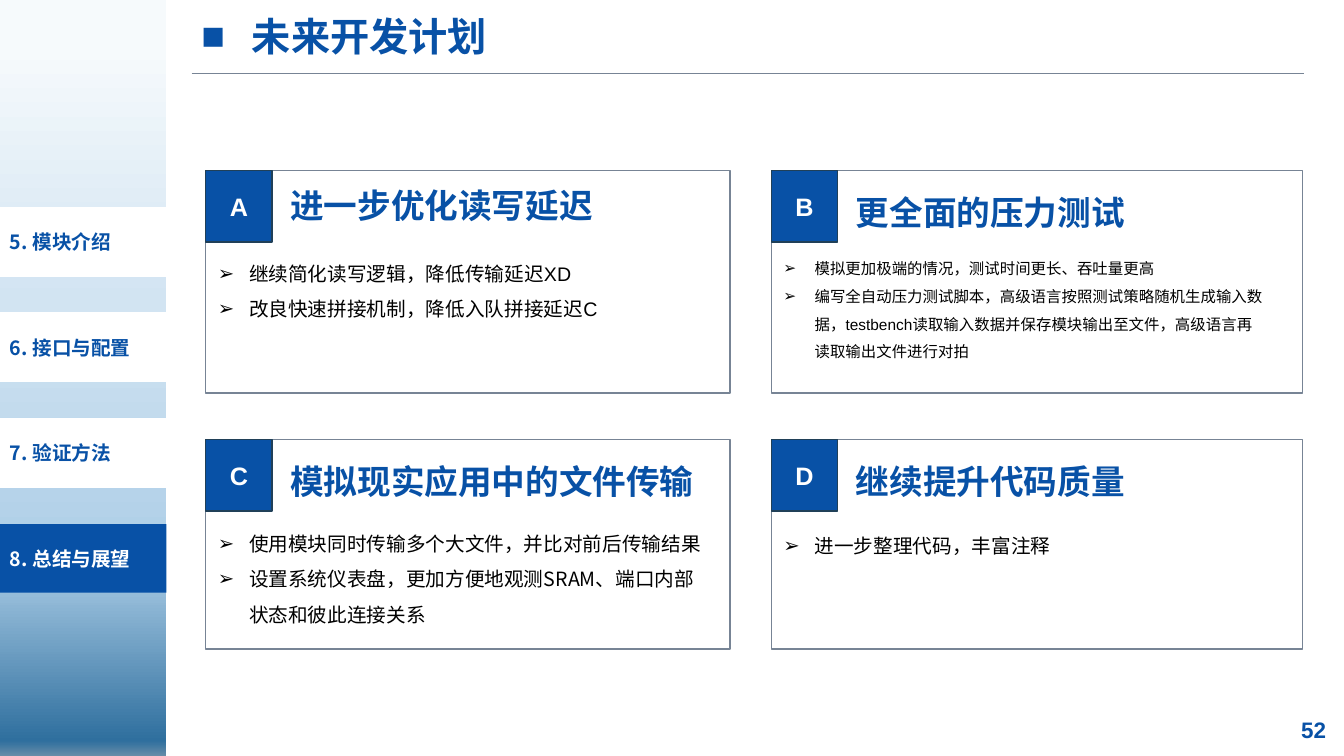
from dataclasses import dataclass

from lxml.etree import SubElement
from pptx import Presentation
from pptx.dml.color import RGBColor
from pptx.enum.shapes import MSO_CONNECTOR, MSO_SHAPE
from pptx.enum.text import MSO_ANCHOR as Anchor, PP_ALIGN as Align
from pptx.oxml.ns import qn
from pptx.shapes.autoshape import Shape
from pptx.slide import Slide
from pptx.util import Emu, Inches, Pt

BLUE = RGBColor(0x08, 0x51, 0xA6)
NAVY = RGBColor(0x20, 0x40, 0x58)
GREY = RGBColor(0x77, 0x84, 0x95)
WHITE = RGBColor(0xFF, 0xFF, 0xFF)
BLACK = RGBColor(0, 0, 0)
SIDEBAR_STOPS = [(6, "F6FAFC"), (40, "D2E4F2"), (74, "ADCEE7"), (98, "2F6F9E"), (100, "668CA8")]

ARIAL, NOTO = "Arial", "Noto Sans CJK SC"

# Grid of the slide, in inches: (start, size) of each column and row
COLS = [(2.04, 5.2), (7.65, 5.27)]
ROWS = [(1.69, 2.21), (4.36, 2.08)]
SIDEBAR_W = 1.65
NAV_FIRST, NAV_LAST, NAV_H = 2.06, 5.2, 0.68
BADGE_W, BADGE_H = 0.66, 0.71
HEADING_DX = 0.74

NAV = ["5. 模块介绍", "6. 接口与配置", "7. 验证方法", "8. 总结与展望"]


@dataclass
class Box:
    left: float
    top: float
    width: float
    height: float

    def emu(self) -> tuple[Emu, Emu, Emu, Emu]:
        return Inches(self.left), Inches(self.top), Inches(self.width), Inches(self.height)


@dataclass
class Panel:
    """One plan card; body_dy and body_w place its bullet list inside the card."""
    letter: str
    col: int
    row: int
    heading: str
    points: list[str]
    body_dy: float
    body_w: float
    heading_dy: float = 0.08
    heading_spacing: float = 1.2
    size: float = 14
    font: str = ARIAL


PANELS = [
    Panel("A", 0, 0, "进一步优化读写延迟",
          ["继续简化读写逻辑，降低传输延迟XD", "改良快速拼接机制，降低入队拼接延迟C"],
          0.67, 4.89, heading_dy=0.1, heading_spacing=1.0),
    Panel("B", 1, 0, "更全面的压力测试",
          ["模拟更加极端的情况，测试时间更长、吞吐量更高",
           "编写全自动压力测试脚本，高级语言按照测试策略随机生成输入数据，"
           "testbench读取输入数据并保存模块输出至文件，高级语言再读取输出文件进行对拍"],
          0.67, 5.04, size=11),
    Panel("C", 0, 1, "模拟现实应用中的文件传输",
          ["使用模块同时传输多个大文件，并比对前后传输结果",
           "设置系统仪表盘，更加方便地观测SRAM、端口内部状态和彼此连接关系"],
          0.68, 5.14, font=NOTO),
    Panel("D", 1, 1, "继续提升代码质量", ["进一步整理代码，丰富注释"], 0.7, 5.04),
]


def write(s: Shape, *lines: str, size: float, color: RGBColor = BLUE, bold: bool = True,
          font: str = ARIAL, align: Align = Align.LEFT, anchor: Anchor = Anchor.TOP,
          spacing: float = 1.0, bullet: str = "", indent: float = 0,
          inset: tuple[float, float] = (0.1, 0.05)) -> None:
    """Fill a shape with one paragraph per line; inset is (sides, top and bottom)."""
    tf = s.text_frame
    tf.word_wrap = True
    tf.vertical_anchor = anchor
    tf.margin_left = tf.margin_right = Inches(inset[0])
    tf.margin_top = tf.margin_bottom = Inches(inset[1])
    for i, line in enumerate(lines):
        p = tf.add_paragraph() if i else tf.paragraphs[0]
        p.alignment = align
        p.line_spacing = spacing
        if bullet:
            pPr = p._p.get_or_add_pPr()
            pPr.set("marL", str(Inches(indent)))
            pPr.set("indent", str(-Inches(indent)))
            SubElement(pPr, qn("a:buFont")).set("typeface", ARIAL)
            SubElement(pPr, qn("a:buChar")).set("char", bullet)
        r = p.add_run()
        r.text = line
        r.font.name, r.font.size, r.font.bold = font, Pt(size), bold
        r.font.color.rgb = color
        SubElement(r._r.get_or_add_rPr(), qn("a:ea")).set("typeface", NOTO)


def add_rect(slide: Slide, box: Box, fill: RGBColor, line: RGBColor | None = None) -> Shape:
    s = slide.shapes.add_shape(MSO_SHAPE.RECTANGLE, *box.emu())
    s.shadow.inherit = False
    s.fill.solid()
    s.fill.fore_color.rgb = fill
    if line is None:
        s.line.fill.background()
    else:
        s.line.color.rgb = line
        s.line.width = Pt(1)
    return s


def add_text(slide: Slide, box: Box, *lines: str, **fmt) -> None:
    write(slide.shapes.add_textbox(*box.emu()), *lines, **fmt)


def add_sidebar(slide: Slide) -> None:
    s = add_rect(slide, Box(0, 0, SIDEBAR_W, 7.5), WHITE)
    s.fill.gradient()
    s.fill.gradient_angle = 270
    stops = s._element.spPr.find(qn("a:gradFill")).find(qn("a:gsLst"))
    for stop in list(stops):
        stops.remove(stop)
    for percent, color in SIDEBAR_STOPS:
        stop = SubElement(stops, qn("a:gs"), pos=str(percent * 1000))
        SubElement(stop, qn("a:srgbClr"), val=color)

    step = (NAV_LAST - NAV_FIRST) / (len(NAV) - 1)
    for i, label in enumerate(NAV):
        current = i == len(NAV) - 1
        box = Box(0, NAV_FIRST + i * step, SIDEBAR_W, NAV_H)
        s = add_rect(slide, box, BLUE if current else WHITE, None if current else WHITE)
        write(s, label, size=14, font=NOTO, color=WHITE if current else BLUE,
              anchor=Anchor.MIDDLE)


def add_title(slide: Slide) -> None:
    add_text(slide, Box(1.9, 0, 11.1, 0.64), "未来开发计划", size=28,
             anchor=Anchor.BOTTOM, bullet="■", indent=0.5)
    rule = slide.shapes.add_connector(MSO_CONNECTOR.STRAIGHT, Inches(1.9), Inches(0.73),
                                      Inches(12.93), Inches(0.73))
    rule.line.color.rgb = GREY
    rule.line.width = Pt(1.25)
    SubElement(rule._element.spPr, qn("a:effectLst"))


def add_panel(slide: Slide, panel: Panel) -> None:
    left, width = COLS[panel.col]
    top, height = ROWS[panel.row]
    add_rect(slide, Box(left, top, width, height), WHITE, GREY)
    badge = add_rect(slide, Box(left, top, BADGE_W, BADGE_H), BLUE, NAVY)
    write(badge, panel.letter, size=18, color=WHITE, align=Align.CENTER, anchor=Anchor.MIDDLE)
    add_text(slide, Box(left + HEADING_DX, top + panel.heading_dy, width - HEADING_DX, 0.54),
             panel.heading, size=24, spacing=panel.heading_spacing)
    add_text(slide, Box(left, top + panel.body_dy, panel.body_w, height - panel.body_dy),
             *panel.points, size=panel.size, font=panel.font, color=BLACK, bold=False,
             spacing=1.5, bullet="➢", indent=0.31, inset=(0.12, 0.12))


def main() -> None:
    prs = Presentation()
    prs.slide_width, prs.slide_height = Inches(13.33), Inches(7.5)
    slide = prs.slides.add_slide(prs.slide_layouts[6])
    add_sidebar(slide)
    add_title(slide)
    for panel in PANELS:
        add_panel(slide, panel)
    add_text(slide, Box(12.77, 7.09, 0.48, 0.3), "52", size=16,
             align=Align.RIGHT, anchor=Anchor.MIDDLE)
    prs.save("out.pptx")


if __name__ == "__main__":
    main()
